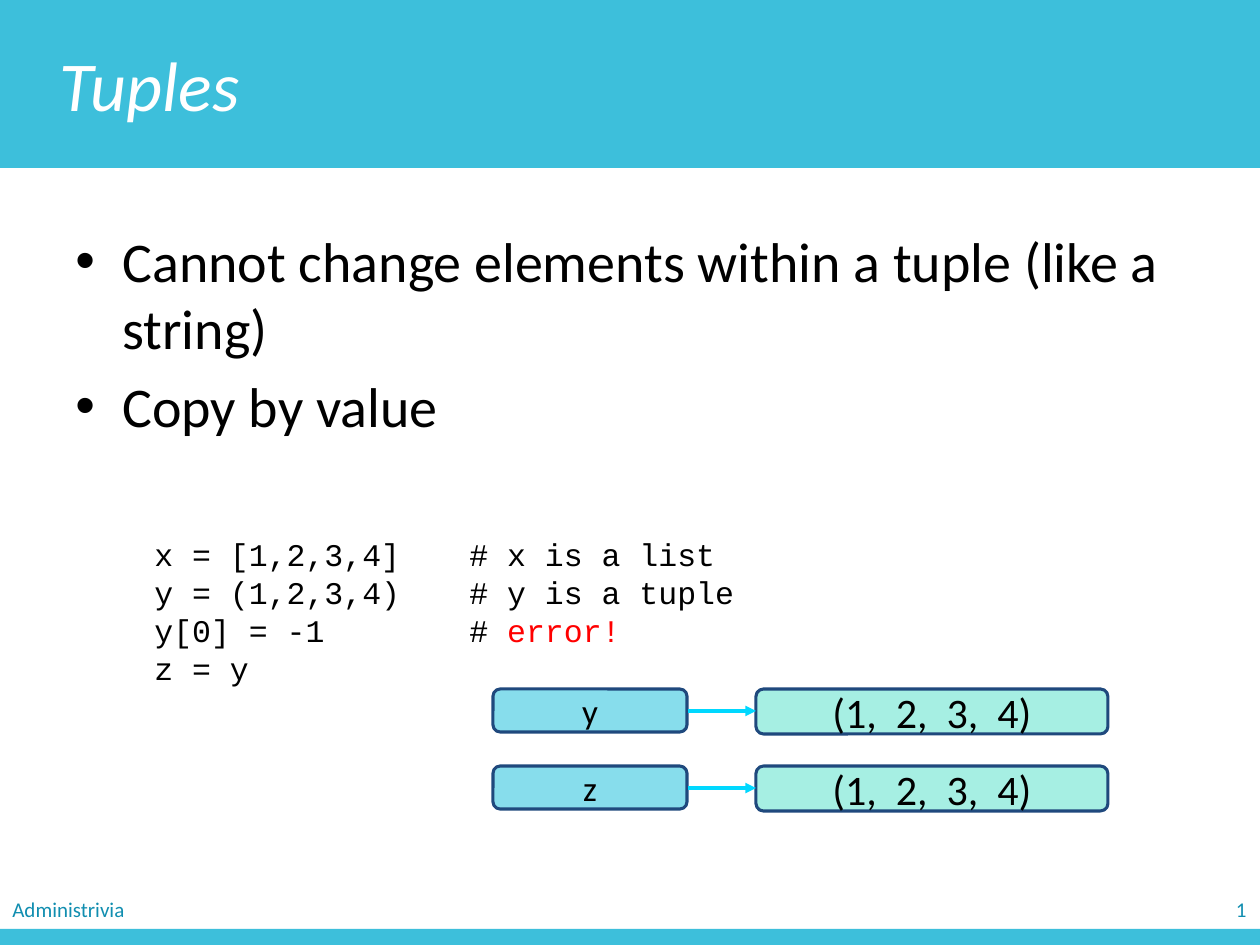
"""Build the Tuples slide: bullets, a code sample and copy-by-value boxes."""
from lxml import etree
from pptx import Presentation, util as u
from pptx.dml.color import RGBColor
from pptx.enum import shapes, text
from pptx.oxml.ns import qn

COLORS = {
    "band": "3DBFDB", "white": "FFFFFF", "black": "000000", "footer": "118EB0",
    "error": "FF0000", "name": "87DDEC", "value": "A6EFE3",
    "border": "1F497D", "arrow": "00D8FF",
}
PX = u.Inches(1) / 126
LEFT, CENTER, RIGHT = text.PP_ALIGN.LEFT, text.PP_ALIGN.CENTER, text.PP_ALIGN.RIGHT


def px(n):
    return u.Emu(round(n * PX))


def rgb(name):
    return RGBColor.from_string(COLORS[name])


class Deck:
    def __init__(self, width, height):
        self.prs = Presentation()
        self.prs.slide_width, self.prs.slide_height = px(width), px(height)
        self.s = self.prs.slides.add_slide(self.prs.slide_layouts[6])

    def run(self, p, words, size, color="black", font="Calibri", italic=False):
        r = p.add_run()
        r.text = words
        r.font.size, r.font.name, r.font.italic = u.Pt(size), font, italic
        r.font.color.rgb = rgb(color)

    def box(self, kind, x, y, w, h, fill, border=None):
        sp = self.s.shapes.add_shape(kind, px(x), px(y), px(w), px(h))
        sp.shadow.inherit = False
        sp.fill.solid()
        sp.fill.fore_color.rgb = rgb(fill)
        if border:
            sp.line.color.rgb, sp.line.width = rgb(border), u.Pt(1.75)
        else:
            sp.line.fill.background()
        tf = sp.text_frame
        tf.vertical_anchor = text.MSO_ANCHOR.MIDDLE
        return tf

    def textbox(self, x, y, w, h, wrap=True):
        tf = self.s.shapes.add_textbox(px(x), px(y), px(w), px(h)).text_frame
        tf.word_wrap = wrap
        return tf

    def band(self, y, h):
        return self.box(shapes.MSO_SHAPE.RECTANGLE, 0, y, 1260, h, "band")

    def title(self, words):
        tf = self.band(-1, 169)
        tf.margin_left = px(60)
        tf.paragraphs[0].alignment = LEFT
        self.run(tf.paragraphs[0], words, 40, "white", italic=True)

    def label(self, x, y, w, h, words, align):
        p = self.textbox(x, y, w, h, wrap=False).paragraphs[0]
        p.alignment = align
        self.run(p, words, 12, "footer")

    def bullets(self, x, y, w, h, items):
        tf = self.textbox(x, y, w, h)
        for i, item in enumerate(items):
            p = tf.add_paragraph() if i else tf.paragraphs[0]
            p.space_before = u.Pt(6.4)
            pPr = p._p.get_or_add_pPr()
            pPr.set("marL", str(int(px(47))))
            pPr.set("indent", str(-int(px(47))))
            etree.SubElement(pPr, qn("a:buFont"), typeface="Arial")
            etree.SubElement(pPr, qn("a:buChar"), char="•")
            self.run(p, item, 32)

    def code(self, x, y, w, h, lines):
        tf = self.textbox(x, y, w, h)
        for i, line in enumerate(lines):
            p = tf.add_paragraph() if i else tf.paragraphs[0]
            tabs = etree.SubElement(p._p.get_or_add_pPr(), qn("a:tabLst"))
            for stop in range(1, 6):
                etree.SubElement(tabs, qn("a:tab"), pos=str(int(px(63 * stop))), algn="l")
            for words, color in line:
                self.run(p, words, 18, color, "Courier New")

    def cell(self, x, y, w, h, words, size, fill):
        tf = self.box(shapes.MSO_SHAPE.ROUNDED_RECTANGLE, x, y, w, h, fill, "border")
        tf.paragraphs[0].alignment = CENTER
        self.run(tf.paragraphs[0], words, size)

    def arrow(self, x1, x2, y):
        c = self.s.shapes.add_connector(
            shapes.MSO_CONNECTOR.STRAIGHT, px(x1), px(y), px(x2), px(y))
        c.line.color.rgb, c.line.width = rgb("arrow"), u.Pt(2)
        spPr = c._element.spPr
        etree.SubElement(spPr.find(qn("a:ln")), qn("a:tailEnd"), type="triangle")
        etree.SubElement(spPr, qn("a:effectLst"))

    def binding(self, y, name, value):
        self.cell(493, y, 194, 43, name, 20, "name")
        self.cell(756, y, 352, 45, value, 24, "value")
        self.arrow(688, 756, y + 22)


def main():
    deck = Deck(1260, 945)
    deck.bullets(63, 220, 1134, 624, [
        "Cannot change elements within a tuple (like a string)", "Copy by value"])
    deck.title("Tuples")
    deck.band(929, 16)
    deck.label(0, 890, 142, 38, "Administrivia", LEFT)
    deck.label(1222, 890, 37, 38, "1", RIGHT)
    deck.code(142, 529, 630, 204, [
        [("x = [1,2,3,4]\t\t# x is a list", "black")],
        [("y = (1,2,3,4)\t\t# y is a tuple", "black")],
        [("y[0] = -1\t\t\t# ", "black"), ("error!", "error")],
        [("z = y", "black")],
    ])
    for i, name in enumerate("yz"):
        deck.binding(689 + 77 * i, name, "(1,  2,  3,  4)")
    deck.prs.save("out.pptx")


if __name__ == "__main__":
    main()
